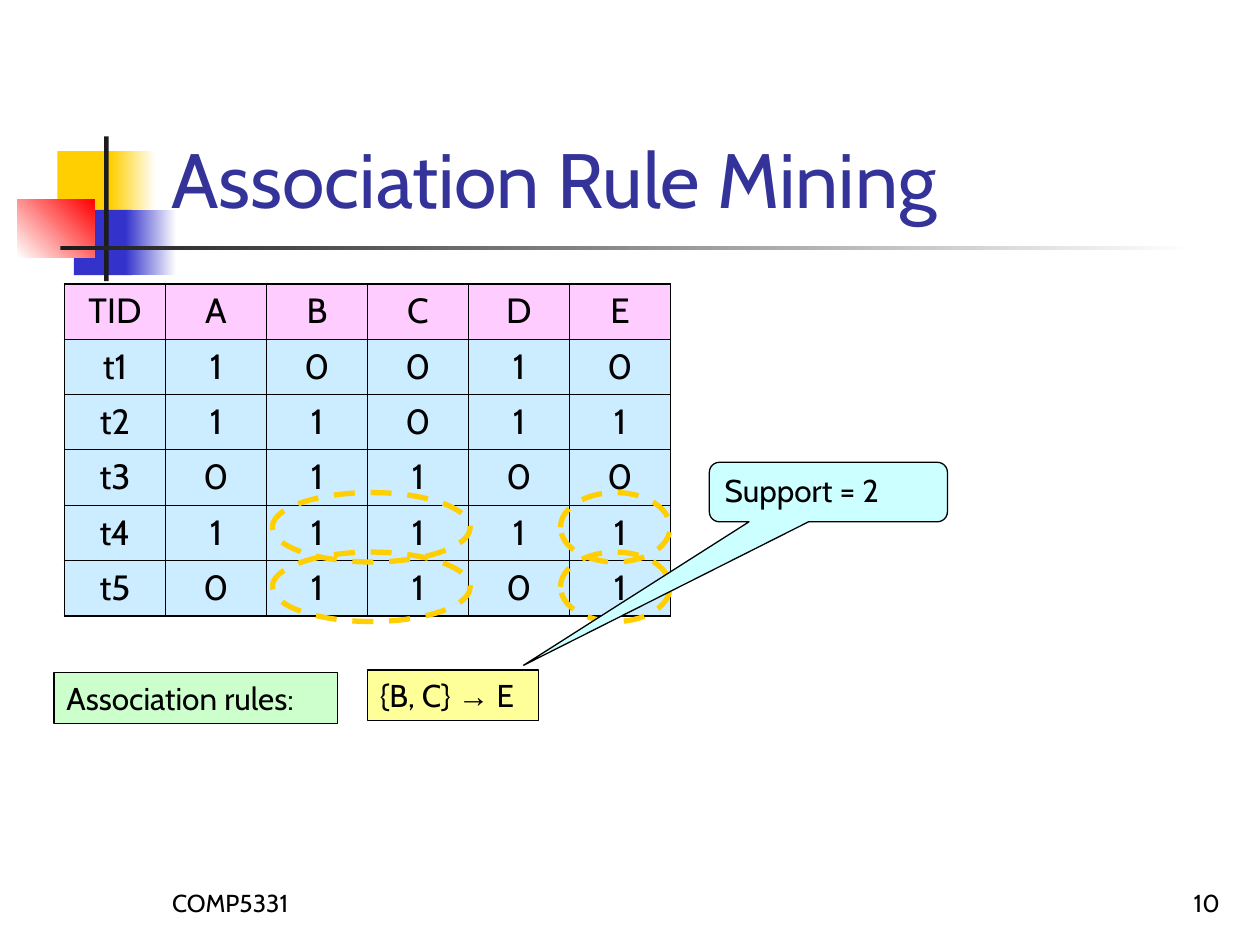
from lxml.etree import SubElement
from pptx import Presentation
from pptx.dml.color import RGBColor
from pptx.enum.dml import MSO_LINE
from pptx.enum.shapes import MSO_SHAPE
from pptx.enum.text import MSO_ANCHOR, MSO_AUTO_SIZE, PP_ALIGN
from pptx.oxml.ns import qn
from pptx.util import Cm, Pt

FONT = "Cabin"
BLACK, WHITE, YELLOW, BLUE, DARK = "000000", "FFFFFF", "FFCF01", "3333CC", "1C1C1C"
TRANSACTIONS = [
    ["TID", "A", "B", "C", "D", "E"],
    ["t1", "1", "0", "0", "1", "0"],
    ["t2", "1", "1", "0", "1", "1"],
    ["t3", "0", "1", "1", "0", "0"],
    ["t4", "1", "1", "1", "1", "1"],
    ["t5", "0", "1", "1", "0", "1"],
]


def color(value):
    return RGBColor.from_string(value)


def format_runs(paragraph, size, text_color=BLACK, alignment=PP_ALIGN.LEFT):
    paragraph.alignment = alignment
    for run in paragraph.runs:
        run.font.size = Pt(size)
        run.font.name = FONT
        run.font.color.rgb = color(text_color)


def add_box(slide, kind, box, fill=None, line=None, width=0.75):
    shape = slide.shapes.add_shape(kind, *(Cm(length) for length in box))
    shape.shadow.inherit = False
    if fill:
        shape.fill.solid()
        shape.fill.fore_color.rgb = color(fill)
    else:
        shape.fill.background()
    if line:
        shape.line.color.rgb = color(line)
        shape.line.width = Pt(width)
    else:
        shape.line.fill.background()
    return shape


def add_gradient(slide, box, start, end, angle=0):
    shape = add_box(slide, MSO_SHAPE.RECTANGLE, box)
    shape.fill.gradient()
    shape.fill.gradient_angle = angle
    for stop, value, position in zip(shape.fill.gradient_stops, (start, end), (0, 1)):
        stop.color.rgb = color(value)
        stop.position = position


def add_ornament(slide, left, top, width):
    rectangle = MSO_SHAPE.RECTANGLE
    add_box(slide, rectangle, (left + 0.81, top + 0.3, 1.22, 1.32), YELLOW)
    add_gradient(slide, (left + 1.88, top + 0.3, 0.91, 1.32), YELLOW, WHITE)
    add_box(slide, rectangle, (left + 1.14, top + 1.48, 1.17, 1.32), BLUE)
    add_gradient(slide, (left + 2.18, top + 1.48, 1.02, 1.32), BLUE, WHITE)
    add_gradient(slide, (left, top + 1.27, 1.55, 1.17), WHITE, "FF0000", 45)
    add_box(slide, rectangle, (left + 1.75, top, 0.09, 2.92), DARK)
    add_gradient(slide, (left + 0.87, top + 2.2, width - 0.87, 0.09), DARK, WHITE)


def set_title(slide, left, top, width, height):
    title = slide.shapes.title
    title.left, title.top, title.width, title.height = map(Cm, (left, top, width, height))
    frame = title.text_frame
    frame.text = "Association Rule Mining"
    frame.auto_size = MSO_AUTO_SIZE.NONE
    frame.vertical_anchor = MSO_ANCHOR.BOTTOM
    format_runs(frame.paragraphs[0], 44, "333399")


def add_footer(slide, left, top, width, height):
    part_width = 5.28
    parts = (
        ("COMP5331", left, PP_ALIGN.LEFT),
        ("10", left + width - part_width, PP_ALIGN.RIGHT),
    )
    for text, part_left, alignment in parts:
        text_box = slide.shapes.add_textbox(Cm(part_left), Cm(top), Cm(part_width), Cm(height))
        frame = text_box.text_frame
        frame.word_wrap = True
        frame.vertical_anchor = MSO_ANCHOR.BOTTOM
        frame.text = text
        format_runs(frame.paragraphs[0], 14, alignment=alignment)


def set_borders(cell, widths):
    properties = cell._tc.get_or_add_tcPr()
    for index, (side, width) in enumerate(widths.items()):
        line = SubElement(properties, qn(f"a:ln{side}"), w=str(Pt(width)))
        fill = SubElement(line, qn("a:solidFill"))
        SubElement(fill, qn("a:srgbClr"), val=BLACK)
        properties.remove(line)
        properties.insert(index, line)


def add_transactions(slide, left, top, width, height):
    row_count, column_count = len(TRANSACTIONS), len(TRANSACTIONS[0])
    table = slide.shapes.add_table(
        row_count, column_count, Cm(left), Cm(top), Cm(width), Cm(height)
    ).table
    table.first_row = table.horz_banding = False
    for column in table.columns:
        column.width = Cm(width / column_count)
    for row in table.rows:
        row.height = Cm(height / row_count)
    thin, thick = 0.45, 1.08
    for row, values in enumerate(TRANSACTIONS):
        for column, value in enumerate(values):
            cell = table.cell(row, column)
            cell.text = value
            format_runs(cell.text_frame.paragraphs[0], 20, alignment=PP_ALIGN.CENTER)
            cell.fill.solid()
            cell.fill.fore_color.rgb = color("CCECFF" if row else "FFCCFF")
            set_borders(cell, {
                "L": thin if column else thick,
                "R": thick if column == column_count - 1 else thin,
                "T": thin if row else thick,
                "B": thick if row == row_count - 1 else thin,
            })


def add_highlights(slide, left, top, width, row_gap):
    pair_width, single_width, height = 3.99, 2.21, 1.4
    for row in range(2):
        row_top = top + row * row_gap
        for ring_left, ring_width in (
            (left, pair_width),
            (left + width - single_width, single_width),
        ):
            box = (ring_left, row_top, ring_width, height)
            ring = add_box(slide, MSO_SHAPE.OVAL, box, line=YELLOW, width=3)
            ring.line.dash_style = MSO_LINE.DASH


def add_label(slide, kind, box, texts, fill, anchor=MSO_ANCHOR.TOP):
    shape = add_box(slide, kind, box, fill, BLACK)
    frame = shape.text_frame
    frame.word_wrap = True
    frame.vertical_anchor = anchor
    paragraph = frame.paragraphs[0]
    for text in texts:
        paragraph.add_run().text = text
    format_runs(paragraph, 18)
    return shape


def add_rules(slide, left, top):
    rectangle = MSO_SHAPE.RECTANGLE
    add_label(slide, rectangle, (left, top + 0.05, 5.72, 1.02), ["Association rules:"], "CCFFCC")
    rule = add_label(
        slide, rectangle, (left + 6.32, top, 3.45, 1.02), ["{B, C} ", "→", " E"], "FFFF99"
    )
    rule.text_frame.paragraphs[0].runs[1].font.name = "Arial"


def add_support(slide, left, top, width, height):
    callout = add_label(
        slide, MSO_SHAPE.ROUNDED_RECTANGULAR_CALLOUT, (left, top, width, height),
        ["Support = 2"], "CCFFFF",
    )
    for index, value in enumerate((-1.28, 2.91, 0.17)):
        callout.adjustments[index] = value


def main():
    presentation = Presentation()
    presentation.slide_width, presentation.slide_height = Cm(25.4), Cm(19.05)
    slide = presentation.slides.add_slide(presentation.slide_layouts[5])
    add_ornament(slide, 0.35, 2.75, 23.73)
    add_footer(slide, 3.22, 17.35, 21.62, 1.27)
    set_title(slide, 3.2, 0.58, 21.64, 4.06)
    add_transactions(slide, 1.3, 5.72, 12.22, 6.7)
    add_rules(slide, 1.09, 13.51)
    add_highlights(slide, 5.49, 9.93, 8.02, 1.2)
    add_support(slide, 14.3, 9.32, 4.8, 1.2)
    presentation.save("out.pptx")


if __name__ == "__main__":
    main()
